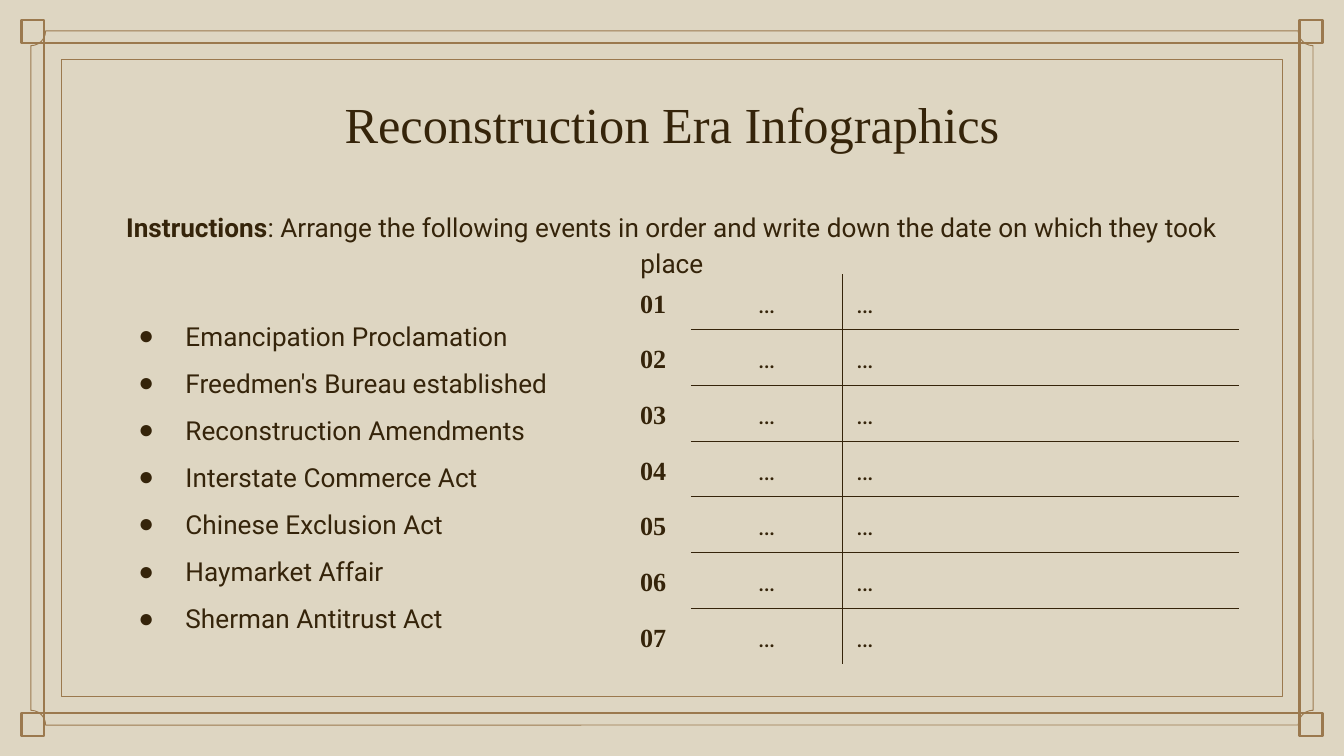
from lxml.etree import SubElement
from pptx import Presentation
from pptx.dml.color import RGBColor
from pptx.enum.shapes import MSO_SHAPE
from pptx.enum.text import MSO_ANCHOR as ANCHOR, MSO_AUTO_SIZE, PP_ALIGN as ALIGN
from pptx.oxml.ns import qn
from pptx.util import Inches, Pt

TITLE = "Reconstruction Era Infographics"
INSTRUCTIONS = [
    ("Instructions", True),
    (": Arrange the following events in order and write down the date on which they took place", False),
]
EVENTS = [
    "Emancipation Proclamation",
    "Freedmen's Bureau established",
    "Reconstruction Amendments",
    "Interstate Commerce Act",
    "Chinese Exclusion Act",
    "Haymarket Affair",
    "Sherman Antitrust Act",
]
BLANK = "…"

PAPER, BRONZE, INK = "DED6C2", "9B794E", "35240A"
SERIF, SANS = "Times New Roman", "Roboto"
WIDTH = 10
HEIGHT = WIDTH * 9 / 16
MARGIN, CONTENT_WIDTH = 0.78, 8.44
LIST_TOP, LIST_HEIGHT = 2.04, 2.9
CORNER_LEFT, CORNER_TOP, CORNER_SIZE = 0.16, 0.15, 0.17
SCOOP_INSET, SCOOP = 0.23, 0.11
COLUMNS, ROW_HEIGHT = (0.46, 1.13, 2.95), LIST_HEIGHT / len(EVENTS)
NO_STYLE_NO_GRID = "{2D5ABB26-0587-4C30-8999-92F81FD0307C}"


def color(hex_code):
    return RGBColor.from_string(hex_code)


def add_run(paragraph, text, size=14, font=SANS, bold=False):
    run = paragraph.add_run()
    run.text = text
    run.font.size, run.font.name, run.font.bold = Pt(size), font, bold
    run.font.color.rgb = color(INK)


def set_box(shape, left, top, width, height, anchor=ANCHOR.TOP):
    """Place a text shape and return its text frame with even insets."""
    shape.left, shape.top = Inches(left), Inches(top)
    shape.width, shape.height = Inches(width), Inches(height)
    frame = shape.text_frame
    frame.word_wrap, frame.auto_size = True, MSO_AUTO_SIZE.NONE
    frame.vertical_anchor = anchor
    frame.margin_left = frame.margin_right = Inches(0.1)
    frame.margin_top = frame.margin_bottom = Inches(0.1)
    return frame


def add_outline(slide, left, top, width, height, weight, kind=MSO_SHAPE.RECTANGLE):
    outline = slide.shapes.add_shape(
        kind, Inches(left), Inches(top), Inches(width), Inches(height))
    outline.shadow.inherit = False
    outline.fill.background()
    outline.line.color.rgb = color(BRONZE)
    outline.line.width = Pt(weight)
    return outline


def add_frame(slide):
    def inset(x, y, weight, kind=MSO_SHAPE.RECTANGLE):
        return add_outline(slide, x, y, WIDTH - 2 * x, HEIGHT - 2 * y, weight, kind)

    inset(0.33, 0.32, 1.28)
    inset(0.46, 0.44, 0.5)
    scooped = inset(SCOOP_INSET, SCOOP_INSET, 0.5, MSO_SHAPE.PLAQUE)
    scooped.adjustments[0] = SCOOP / (HEIGHT - 2 * SCOOP_INSET)
    for x in (CORNER_LEFT, WIDTH - CORNER_LEFT - CORNER_SIZE):
        for y in (CORNER_TOP, HEIGHT - CORNER_TOP - CORNER_SIZE):
            add_outline(slide, x, y, CORNER_SIZE, CORNER_SIZE, 1.28)


def add_bullet(paragraph):
    properties = paragraph._p.get_or_add_pPr()
    properties.set("marL", str(Inches(0.5)))
    properties.set("indent", str(Inches(-0.35)))
    bullet_color = SubElement(properties, qn("a:buClr"))
    SubElement(bullet_color, qn("a:srgbClr"), val=INK)
    SubElement(properties, qn("a:buChar"), char="●")


def add_borders(cell, sides):
    properties = cell._tc.get_or_add_tcPr()
    for side in sides:
        border = SubElement(properties, qn(f"a:ln{side}"), w=str(Pt(0.75)))
        fill = SubElement(border, qn("a:solidFill"))
        SubElement(fill, qn("a:srgbClr"), val=INK)


def add_answer_table(slide):
    count = len(EVENTS)
    graphic = slide.shapes.add_table(
        count, len(COLUMNS), Inches(4.68), Inches(LIST_TOP),
        Inches(sum(COLUMNS)), Inches(LIST_HEIGHT))
    table = graphic.table
    table.first_row = table.horz_banding = False
    table._tbl.tblPr.find(qn("a:tableStyleId")).text = NO_STYLE_NO_GRID
    for column, width in zip(table.columns, COLUMNS):
        column.width = Inches(width)
    for i, row in enumerate(table.rows):
        row.height = Inches(ROW_HEIGHT)
        rules = ("T" if i else "") + ("B" if i < count - 1 else "")
        contents = [
            (f"{i + 1:02}", SERIF, True, ALIGN.CENTER, ""),
            (BLANK, SANS, False, ALIGN.CENTER, "R" + rules),
            (BLANK, SANS, False, ALIGN.LEFT, "L" + rules),
        ]
        for j, (text, font, bold, align, sides) in enumerate(contents):
            cell = table.cell(i, j)
            cell.vertical_anchor = ANCHOR.MIDDLE
            cell.margin_left = Inches(0.1 if j else 0)
            cell.margin_right = Inches(0.1)
            cell.margin_top = cell.margin_bottom = Inches(0.05)
            add_borders(cell, sides)
            cell.fill.background()
            paragraph = cell.text_frame.paragraphs[0]
            paragraph.alignment, paragraph.line_spacing = align, 1.15
            add_run(paragraph, text, font=font, bold=bold)


def main():
    deck = Presentation()
    deck.slide_width, deck.slide_height = Inches(WIDTH), Inches(HEIGHT)
    slide = deck.slides.add_slide(deck.slide_layouts[1])
    slide.background.fill.solid()
    slide.background.fill.fore_color.rgb = color(PAPER)
    title, event_list = slide.placeholders

    add_frame(slide)
    # The frame belongs behind the text.
    for placeholder in (title, event_list):
        slide.shapes.element.append(placeholder.element)

    heading = set_box(title, MARGIN, 0.59, CONTENT_WIDTH, 0.65).paragraphs[0]
    heading.alignment = ALIGN.CENTER
    add_run(heading, TITLE, 27, SERIF)

    instructions = slide.shapes.add_textbox(0, 0, 0, 0)
    sentence = set_box(instructions, MARGIN, 1.44, CONTENT_WIDTH, 0.4).paragraphs[0]
    sentence.alignment, sentence.line_spacing = ALIGN.CENTER, 1.15
    for text, bold in INSTRUCTIONS:
        add_run(sentence, text, bold=bold)

    events = set_box(event_list, MARGIN, LIST_TOP, 3.5, LIST_HEIGHT, ANCHOR.MIDDLE)
    for i, event in enumerate(EVENTS):
        paragraph = events.add_paragraph() if i else events.paragraphs[0]
        paragraph.line_spacing, paragraph.space_before = 1.5, Pt(0)
        add_bullet(paragraph)
        add_run(paragraph, event)

    add_answer_table(slide)
    deck.save("out.pptx")


if __name__ == "__main__":
    main()
